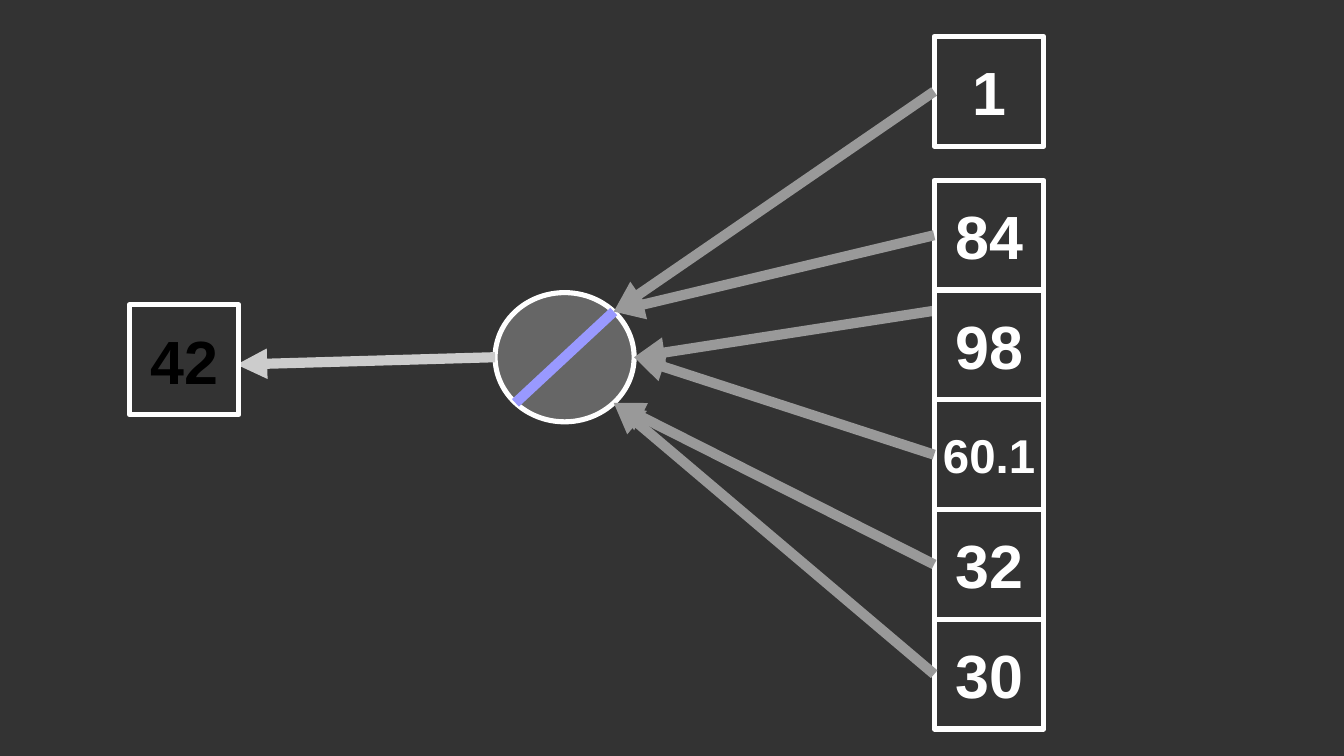
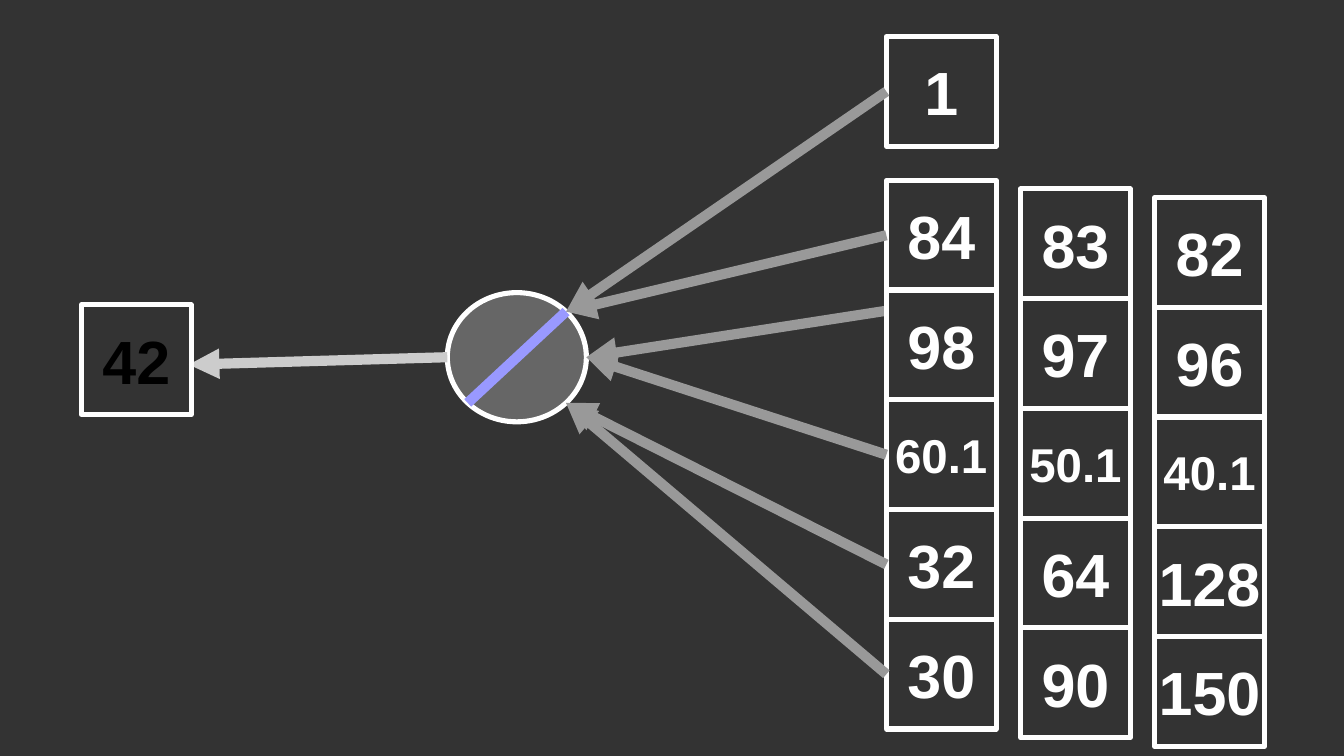
from math import sqrt

from lxml import etree
from pptx import Presentation
from pptx.dml.color import RGBColor
from pptx.enum import shapes, text
from pptx.oxml.ns import qn
from pptx.util import Pt

# Content: per slide, the left shift of the diagram and its input columns
BIAS = "1"
RESULT = "42"
SLIDES = [
    (0, [("84", "98", "60.1", "32", "30")]),
    (-28.2, [("84", "98", "60.1", "32", "30"),
             ("83", "97", "50.1", "64", "90"),
             ("82", "96", "40.1", "128", "150")]),
]

# Shared look
FONT = "Arial"
DARK = RGBColor(0x33, 0x33, 0x33)
GREY = RGBColor(0x66, 0x66, 0x66)
INPUT_ARROW = RGBColor(0x99, 0x99, 0x99)
OUTPUT_ARROW = RGBColor(0xCC, 0xCC, 0xCC)
ACTIVATION = RGBColor(0x99, 0x99, 0xFF)
WHITE = RGBColor(0xFF, 0xFF, 0xFF)
BLACK = RGBColor(0, 0, 0)

# Geometry in points
SLIDE_W, SLIDE_H = 793.44, 446.4
BOX = 64.8
INPUT_X, INPUT_Y, BIAS_Y = 551.5, 106.5, 21.6
COLUMN_DX, COLUMN_DY = 79.2, 5.1
RESULT_X, RESULT_Y = 76.3, 180
NEURON_X, NEURON_Y, NEURON_W, NEURON_H = 292.3, 172.8, 82.1, 76.3
FILLED_ROWS = (0, 1, 3)
FRONT_ROW = 1           # this box lies over its arrow
FRONT_ARROW_DY = 12.2   # its arrow starts this far below the box top


def add_outlined(s, kind, x, y, w, h, fill=None):
    sp = s.shapes.add_shape(kind, Pt(x), Pt(y), Pt(w), Pt(h))
    sp.shadow.inherit = False
    if fill is None:
        sp.fill.background()
    else:
        sp.fill.solid()
        sp.fill.fore_color.rgb = fill
    sp.line.color.rgb = WHITE
    sp.line.width = Pt(3)
    return sp


def add_box(s, x, y, label, fill=None, color=WHITE):
    sp = add_outlined(s, shapes.MSO_SHAPE.RECTANGLE, x, y, BOX, BOX, fill)
    tf = sp.text_frame
    tf.word_wrap = False
    tf.vertical_anchor = text.MSO_ANCHOR.MIDDLE
    tf.margin_left = tf.margin_right = Pt(8.6)
    tf.margin_top = tf.margin_bottom = Pt(5)
    p = tf.paragraphs[0]
    p.text = label
    p.alignment = text.PP_ALIGN.CENTER
    p.font.name, p.font.bold = FONT, True
    p.font.size = Pt(28 if "." in label else 36)
    p.font.color.rgb = color


def add_line(s, start, end, color, arrow=True):
    ends = [Pt(v) for v in (*start, *end)]
    cx = s.shapes.add_connector(shapes.MSO_CONNECTOR.STRAIGHT, *ends)
    cx.line.color.rgb = color
    cx.line.width = Pt(6)
    if arrow:
        ln = cx.line._get_or_add_ln()
        etree.SubElement(ln, qn("a:tailEnd"), type="triangle")
    etree.SubElement(cx._element.spPr, qn("a:effectLst"))


def add_input(s, x, y, row, label):
    add_box(s, x, y + row * BOX, label, DARK if row in FILLED_ROWS else None)


def add_neuron_slide(prs, shift, columns):
    s = prs.slides.add_slide(prs.slide_layouts[6])
    input_x, neuron_x = INPUT_X + shift, NEURON_X + shift
    result_x = RESULT_X + shift

    # Neuron and the points on its rim
    add_outlined(s, shapes.MSO_SHAPE.OVAL, neuron_x, NEURON_Y,
                 NEURON_W, NEURON_H, GREY)
    mid_x, mid_y = neuron_x + NEURON_W / 2, NEURON_Y + NEURON_H / 2
    dx, dy = NEURON_W / sqrt(8), NEURON_H / sqrt(8)
    upper = (mid_x + dx, mid_y - dy)
    right = (neuron_x + NEURON_W, mid_y)
    lower = (mid_x + dx, mid_y + dy)

    # Input boxes; the front row waits until the arrows are drawn
    add_box(s, input_x, BIAS_Y, BIAS, DARK)
    front = []
    for c, column in enumerate(columns):
        x, y = input_x + c * COLUMN_DX, INPUT_Y + c * COLUMN_DY
        for row, label in enumerate(column):
            if row == FRONT_ROW:
                front.append((x, y, row, label))
            else:
                add_input(s, x, y, row, label)

    # Arrows from the first column and the bias into the neuron
    for row, target in enumerate((upper, right, right, lower, lower)):
        offset = FRONT_ARROW_DY if row == FRONT_ROW else BOX / 2
        add_line(s, (input_x, INPUT_Y + row * BOX + offset), target,
                 INPUT_ARROW)
    add_line(s, (input_x, BIAS_Y + BOX / 2), upper, INPUT_ARROW)
    for args in front:
        add_input(s, *args)

    # Result and activation line
    add_line(s, (neuron_x, mid_y), (result_x + BOX - 1.4, 215.3),
             OUTPUT_ARROW)
    add_box(s, result_x, RESULT_Y, RESULT, color=BLACK)
    add_line(s, (mid_x - dx, mid_y + dy), upper, ACTIVATION, arrow=False)


prs = Presentation()
prs.slide_width, prs.slide_height = Pt(SLIDE_W), Pt(SLIDE_H)
backdrop = prs.slide_master.background.fill
backdrop.solid()
backdrop.fore_color.rgb = DARK
for shift, columns in SLIDES:
    add_neuron_slide(prs, shift, columns)
prs.save("out.pptx")
